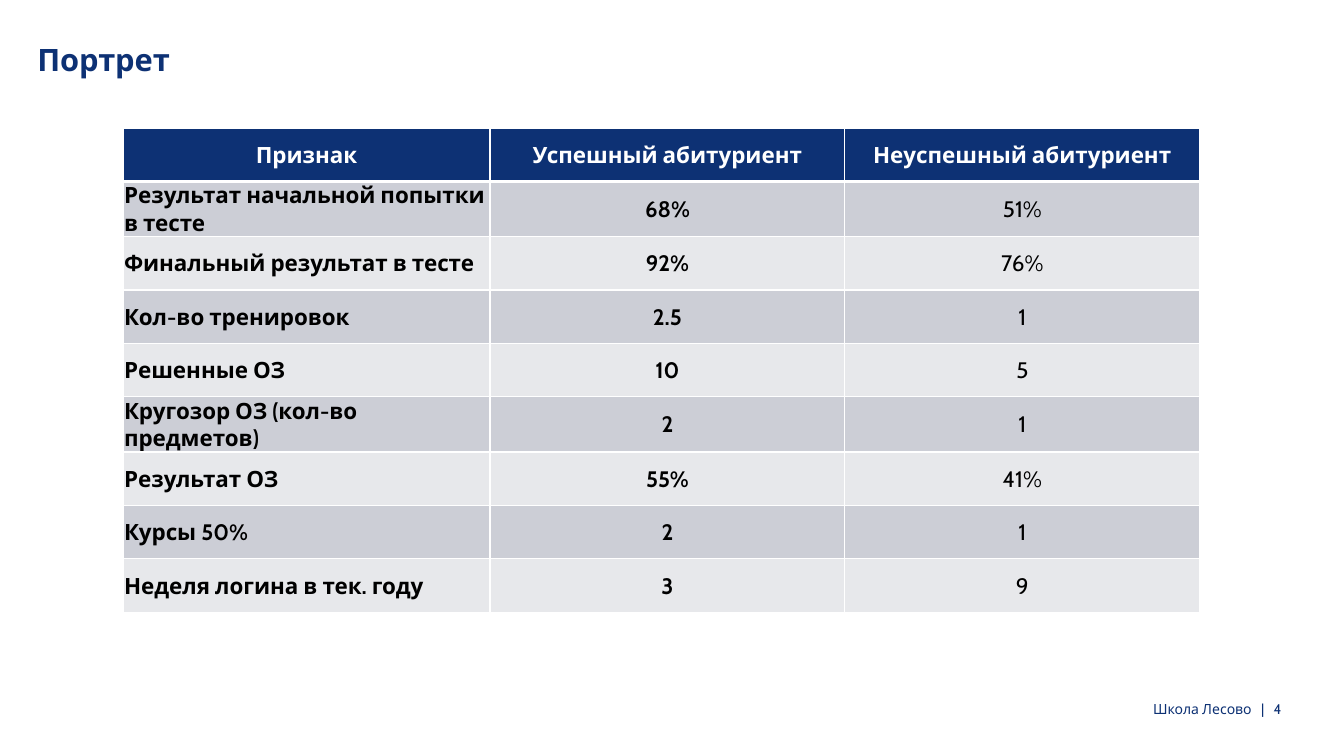
from dataclasses import dataclass

from lxml import etree
from pptx import Presentation
from pptx import util as u
from pptx.dml.color import RGBColor
from pptx.enum import text
from pptx.oxml import ns

# Content
TITLE = "Портрет"
SCHOOL, PAGE_NUMBER = "Школа Лесово", "4"
HEADER = ("Признак", "Успешный абитуриент", "Неуспешный абитуриент")
TRAITS = [
    ("Результат начальной попытки в тесте", "68%", "51%"),
    ("Финальный результат в тесте", "92%", "76%"),
    ("Кол-во тренировок", "2.5", "1"),
    ("Решенные ОЗ", "10", "5"),
    ("Кругозор ОЗ (кол-во предметов)", "2", "1"),
    ("Результат ОЗ", "55%", "41%"),
    ("Курсы 50%", "2", "1"),
    ("Неделя логина в тек. году", "3", "9"),
]


@dataclass(frozen=True)
class Theme:
    font: str = "Cabin"
    navy: str = "0D3174"
    white: str = "FFFFFF"
    black: str = "000000"
    bands: tuple = ("CCCED6", "E7E8EB")
    title_size: int = 22
    table_size: int = 16
    footer_size: int = 10


THEME = Theme()

# Layout, 100 px to the inch
PX = 9144
SLIDE = (1333, 750)
TITLE_BOX = (37, 40, 1260, 98)
FOOTER_BOX = (1007, 695, 264, 40)
TABLE_LEFT, TABLE_TOP = 122, 127
COLUMNS, ROW = (364, 352, 352), 53
SEPARATOR_TRACKING = 450  # hundredths of a point


def px(*lengths):
    return [u.Emu(length * PX) for length in lengths]


def add_span(para, words, size, color, bold=False):
    span = para.add_run()
    span.text = words
    span.font.name = THEME.font
    span.font.size = u.Pt(size)
    span.font.bold = bold
    span.font.color.rgb = RGBColor.from_string(color)
    return span


def prepare_frame(frame):
    frame.word_wrap = True
    frame.auto_size = text.MSO_AUTO_SIZE.NONE
    frame.vertical_anchor = text.MSO_ANCHOR.TOP
    frame.margin_left = frame.margin_top = frame.margin_right = frame.margin_bottom = 0
    return frame.paragraphs[0]


def set_borders(cell, bottom_width):
    properties = cell._tc.get_or_add_tcPr()
    widths = {"a:lnL": 1, "a:lnR": 1, "a:lnT": 1, "a:lnB": bottom_width}
    for position, (tag, width) in enumerate(widths.items()):
        line = etree.Element(ns.qn(tag), w=str(u.Pt(width)))
        fill = etree.SubElement(line, ns.qn("a:solidFill"))
        etree.SubElement(fill, ns.qn("a:srgbClr"), val=THEME.white)
        properties.insert(position, line)


def add_title(page):
    title = page.shapes.title
    title.left, title.top, title.width, title.height = px(*TITLE_BOX)
    para = prepare_frame(title.text_frame)
    para.alignment = text.PP_ALIGN.LEFT
    para.line_spacing = 1.0
    add_span(para, TITLE, THEME.title_size, THEME.navy, bold=True)


def add_table(page):
    rows = [HEADER] + TRAITS
    place = px(TABLE_LEFT, TABLE_TOP, sum(COLUMNS), ROW * len(rows))
    table = page.shapes.add_table(len(rows), len(COLUMNS), *place).table
    for column, width in zip(table.columns, px(*COLUMNS)):
        column.width = width
    for r, values in enumerate(rows):
        table.rows[r].height = u.Emu(ROW * PX)
        is_header = r == 0
        band = THEME.navy if is_header else THEME.bands[(r - 1) % 2]
        color = THEME.white if is_header else THEME.black
        for c, value in enumerate(values):
            cell = table.cell(r, c)
            cell.fill.solid()
            cell.fill.fore_color.rgb = RGBColor.from_string(band)
            cell.vertical_anchor = text.MSO_ANCHOR.MIDDLE
            cell.margin_left, cell.margin_top, cell.margin_right, cell.margin_bottom = px(1, 1, 1, 0)
            set_borders(cell, 3 if is_header else 1)
            para = cell.text_frame.paragraphs[0]
            is_label = c == 0 and not is_header
            para.alignment = text.PP_ALIGN.LEFT if is_label else text.PP_ALIGN.CENTER
            add_span(para, value, THEME.table_size, color, bold=is_header or c < 2)


def add_footer(page):
    box = page.shapes.add_textbox(*px(*FOOTER_BOX))
    para = prepare_frame(box.text_frame)
    para.alignment = text.PP_ALIGN.RIGHT
    for words in (SCHOOL, " ", "|", " ", PAGE_NUMBER):
        span = add_span(para, words, THEME.footer_size, THEME.navy)
        if words == " ":
            span.font._element.set("spc", str(SEPARATOR_TRACKING))


def main():
    deck = Presentation()
    deck.slide_width, deck.slide_height = px(*SLIDE)
    page = deck.slides.add_slide(deck.slide_layouts[5])
    add_title(page)
    add_table(page)
    add_footer(page)
    deck.save("out.pptx")


if __name__ == "__main__":
    main()
